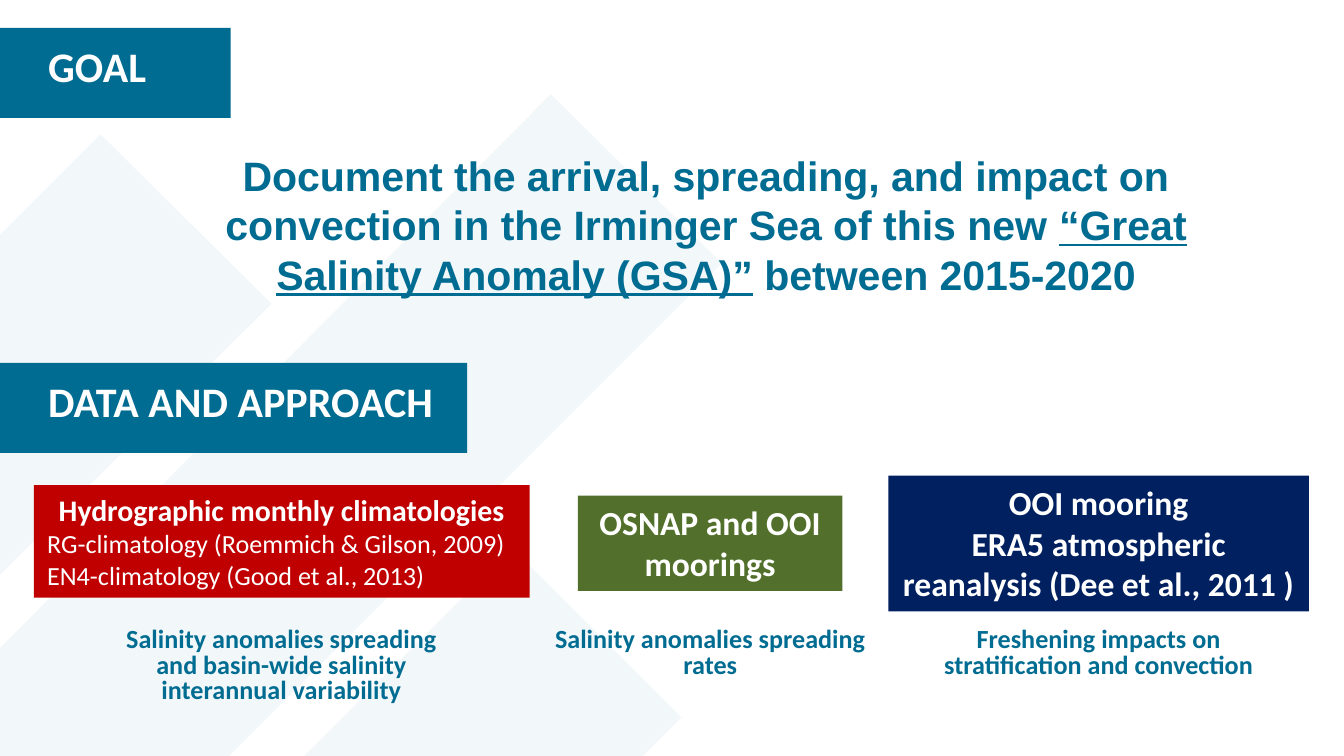
import pptx
import pptx.dml.color
import pptx.enum.shapes
import pptx.enum.text
import pptx.util
from lxml import etree
from pptx.oxml.ns import qn

Cm = pptx.util.Cm
Pt = pptx.util.Pt
MID = pptx.enum.text.MSO_ANCHOR.MIDDLE
TOP = pptx.enum.text.MSO_ANCHOR.TOP
LEFT = pptx.enum.text.PP_ALIGN.LEFT
MIDDLE = pptx.enum.text.PP_ALIGN.CENTER
GROW = pptx.enum.text.MSO_AUTO_SIZE.SHAPE_TO_FIT_TEXT

WIDE, HIGH = 25.4, 14.29
TEAL, WHITE = "006C92", "FFFFFF"


def tint(code):
    return pptx.dml.color.RGBColor.from_string(code)


class Page:
    def __init__(self, slide):
        self.slide = slide
        self.font = "Calibri"

    def paint(self, shape, code):
        shape.shadow.inherit = False
        shape.fill.solid()
        shape.fill.fore_color.rgb = tint(code)
        shape.line.fill.background()

    def frame(self, shape, anchor=TOP, pad=None):
        """Set wrapping, anchor and, if given, the left inset with the others at zero."""
        text = shape.text_frame
        text.word_wrap = True
        text.vertical_anchor = anchor
        if pad is None:
            text.auto_size = GROW
        else:
            text.margin_left = Cm(pad)
            text.margin_top = text.margin_right = text.margin_bottom = 0
        return text

    def add(self, para, words, size, code, bold=True, line=False, font=None):
        """Add one styled run to a paragraph."""
        run = para.add_run()
        run.text = words
        run.font.name = font or self.font
        run.font.size = Pt(size)
        run.font.bold = bold
        run.font.underline = line
        run.font.color.rgb = tint(code)

    def block(self, spot, code):
        shape = self.slide.shapes.add_shape(
            pptx.enum.shapes.MSO_SHAPE.RECTANGLE, *map(Cm, spot))
        self.paint(shape, code)
        return shape

    def bands(self, rings, code, alpha):
        """Draw closed outlines as one see-through shape."""
        first, *rest = [[(Cm(x), Cm(y)) for x, y in ring] for ring in rings]
        pen = self.slide.shapes.build_freeform(*first[0], scale=1.0)
        pen.add_line_segments(first[1:], close=True)
        for ring in rest:
            pen.move_to(*ring[0])
            pen.add_line_segments(ring[1:], close=True)
        shape = pen.convert_to_shape()
        self.paint(shape, code)
        hue = shape.element.spPr.find(qn("a:solidFill"))[0]
        etree.SubElement(hue, qn("a:alpha"), val=str(alpha * 1000))

    def head(self, top, width, words):
        text = self.frame(self.block((-0.36, top, width, 1.7), TEAL), MID, 1.27)
        para = text.paragraphs[0]
        para.alignment = LEFT
        para.line_spacing = Pt(19.5)
        self.add(para, words, 22.5, WHITE)

    def goal(self, spot, runs):
        text = self.frame(self.slide.shapes.add_textbox(*map(Cm, spot)))
        para = text.paragraphs[0]
        para.alignment = MIDDLE
        for words, line in runs:
            self.add(para, words, 22, TEAL, line=line, font="Arial")

    def note(self, left, width, high, words):
        shape = self.slide.shapes.add_textbox(
            Cm(left), Cm(11.89), Cm(width), Cm(high))
        para = self.frame(shape, pad=0).paragraphs[0]
        para.alignment = MIDDLE
        para.line_spacing = Pt(13.5)
        para.space_after = Pt(9)
        self.add(para, words, 14, TEAL)

    def card(self, spot, code, rows):
        """Fill a block with rows of (words, size, bold); plain rows go left."""
        text = self.frame(self.block(spot, code))
        for i, (words, size, bold) in enumerate(rows):
            para = text.add_paragraph() if i else text.paragraphs[0]
            para.alignment = MIDDLE if bold else LEFT
            self.add(para, words, size, WHITE, bold)


def main():
    deck = pptx.Presentation()
    deck.slide_width, deck.slide_height = Cm(WIDE), Cm(HIGH)
    page = Page(deck.slides.add_slide(deck.slide_layouts[6]))

    page.bands([
        [(9.68, 10.36), (12.88, 13.56), (12.15, HIGH), (5.75, HIGH)],
        [(1.9, 2.54), (5.13, 5.74), (0, 10.87), (0, 4.44)],
        [(10.41, 1.78), (13.64, 4.98), (4.33, HIGH), (0, HIGH), (0, 12.25)],
    ], "006A96", 5)

    page.head(0.53, 4.72, "GOAL")
    page.head(6.86, 9.19, "DATA AND APPROACH")
    page.goal((3.3, 2.72, 20.09, 3.07), [
        ("Document the arrival, spreading, and impact on convection "
         "in the Irminger Sea of this new ", False),
        ("“Great Salinity Anomaly (GSA)”", True),
        (" between 2015-2020", False),
    ])

    page.note(2.26, 6.12, 0.81, "Salinity anomalies spreading and "
              "basin-wide salinity interannual variability")
    page.note(10.44, 5.97, 0.81, "Salinity anomalies spreading rates")
    page.note(17.27, 6.99, 1.14,
              "Freshening impacts on stratification and convection")

    page.card((0.64, 9.17, 9.37, 2.13), "C00000", [
        ("Hydrographic monthly climatologies", 16, True),
        ("RG-climatology (Roemmich & Gilson, 2009)", 14, False),
        ("EN4-climatology (Good et al., 2013)", 14, False),
    ])
    page.card((10.92, 9.37, 5, 1.8), "52702B",
              [("OSNAP and OOI moorings", 18, True)])
    page.card((16.79, 8.99, 7.95, 2.57), "002060", [
        ("OOI mooring", 18, True),
        ("ERA5 atmospheric reanalysis (Dee et al., 2011 )", 18, True),
    ])
    deck.save("out.pptx")


if __name__ == "__main__":
    main()
